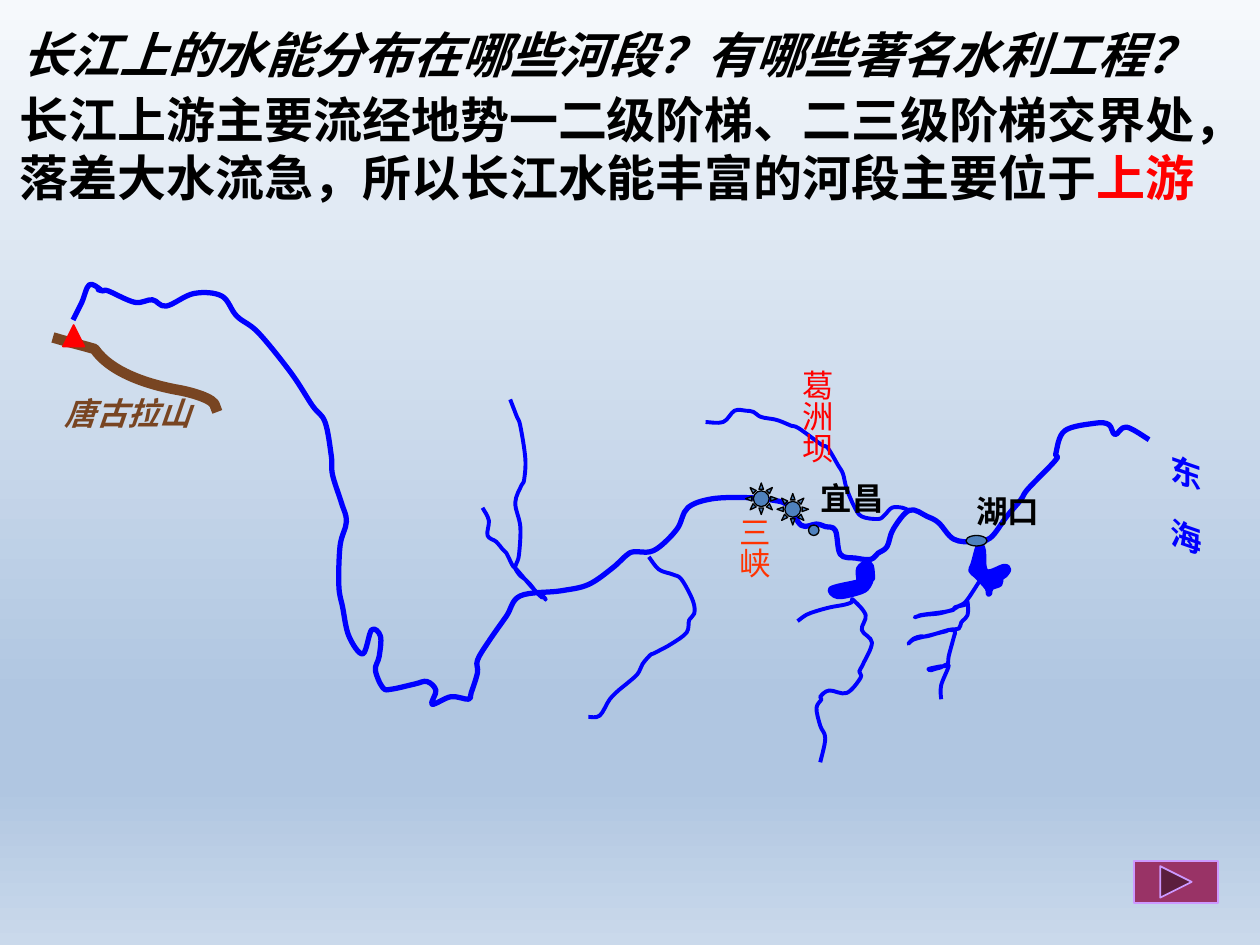
from copy import deepcopy

from lxml import etree
from pptx import Presentation
from pptx import util as u
from pptx.dml.color import RGBColor
from pptx.enum import shapes, text
from pptx.oxml.ns import qn

BLACK, RED, BLUE, BROWN, STEEL = "000000", "FF0000", "0000FF", "784522", "4F81BD"
GRID_W = 1000  # the map is drawn on a grid of 1000 by 750 units

RANGE_START = (46, 269)
RANGE_CURVES = [  # two control points and an end point each
    ((56, 272), (65, 274), (75, 277)),
    ((89, 297), (121, 306), (144, 310)),
    ((149, 311), (171, 316), (171, 323))]
MAIN_RIVER = [
    (58, 254), (65, 240), (71, 226), (80, 230), (78, 230), (82, 231), (86, 231), (107, 240),
    (121, 238), (132, 243), (154, 233), (176, 235), (188, 251), (205, 264), (231, 296),
    (248, 322), (258, 335), (263, 362), (264, 377), (271, 399), (275, 414), (270, 433),
    (269, 465), (272, 482), (277, 505), (288, 519), (295, 500), (302, 505), (301, 521),
    (298, 532), (304, 546), (311, 547), (329, 543), (339, 541), (346, 548), (343, 559),
    (358, 553), (372, 555), (374, 550), (379, 534), (379, 524), (388, 509), (402, 489),
    (413, 473), (445, 469), (467, 464), (486, 451), (497, 441), (503, 438), (516, 438),
    (526, 432), (538, 419), (546, 403), (565, 396), (592, 395), (613, 397), (625, 401),
    (636, 417), (648, 416), (655, 418), (663, 421), (667, 440), (679, 443), (691, 444),
    (697, 439), (704, 434), (709, 420), (722, 405), (736, 410), (745, 415), (757, 428),
    (773, 430), (786, 427), (799, 410), (810, 397), (816, 388), (838, 365), (838, 360),
    (845, 342), (869, 336), (880, 337), (885, 345), (894, 339), (912, 349)]
MIN_RIVER = [
    (405, 317), (410, 330), (413, 338), (417, 364), (416, 381), (414, 385), (409, 399),
    (413, 418), (412, 440), (410, 447), (409, 451), (413, 457), (417, 460), (421, 464),
    (425, 469), (430, 474), (432, 474), (433, 476), (432, 474), (424, 468), (411, 453),
    (407, 449), (402, 439), (399, 436), (394, 430), (387, 425), (388, 413), (383, 403)]
WU_RIVER = [
    (515, 442), (523, 452), (534, 456), (541, 460), (550, 477), (551, 487), (547, 492),
    (545, 502), (533, 511), (522, 517), (518, 519), (516, 520), (510, 527), (506, 535),
    (497, 543), (492, 547), (484, 555), (476, 568), (467, 569)]
HAN_RIVER = [
    (721, 405), (716, 403), (708, 403), (702, 409), (697, 412), (684, 410), (678, 402),
    (672, 388), (669, 376), (665, 369), (658, 357), (655, 354), (652, 353), (634, 340),
    (628, 338), (621, 335), (615, 333), (604, 331), (598, 327), (592, 326), (583, 326),
    (574, 335), (560, 335)]
DONGTING_LAKE = [
    (688, 445), (681, 451), (681, 461), (678, 462), (659, 467), (665, 474), (684, 470),
    (690, 465), (692, 460), (693, 459), (692, 449), (688, 445)]
XIANG_RIVER = [
    (633, 493), (640, 488), (648, 485), (659, 482), (670, 480), (676, 478), (677, 476),
    (687, 488), (684, 500), (692, 510), (685, 527), (682, 533), (683, 538), (672, 550),
    (658, 548), (651, 553), (652, 555), (648, 562), (651, 576), (655, 586), (651, 605)]
POYANG_LAKE = [
    (780, 430), (776, 433), (772, 447), (770, 453), (775, 458), (783, 467), (784, 472),
    (786, 471), (787, 467), (794, 464), (795, 459), (798, 457), (801, 452), (797, 449),
    (783, 453), (781, 437), (779, 432), (778, 431), (780, 430)]
GAN_RIVER = [
    (777, 462), (767, 477), (761, 481), (753, 485), (732, 488), (729, 489), (726, 490),
    (729, 489), (734, 488), (745, 487), (753, 485), (757, 484), (758, 482), (766, 480),
    (768, 478), (768, 488), (763, 494), (761, 499), (753, 500), (736, 505), (731, 505),
    (725, 507), (721, 511), (723, 509), (727, 507), (739, 504), (747, 502), (751, 501),
    (753, 500), (758, 501), (757, 506), (753, 521), (752, 528), (746, 529), (737, 531),
    (739, 532), (742, 531), (746, 530), (753, 528), (747, 544), (747, 555)]


def rgb(hex_color):
    return RGBColor.from_string(hex_color)


def smooth(points):
    """Return Bezier segments (two controls and an end) that pass through the points."""
    ends = [points[0], *points, points[-1]]
    return [((b[0] + (c[0] - a[0]) / 6, b[1] + (c[1] - a[1]) / 6),
             (c[0] - (d[0] - b[0]) / 6, c[1] - (d[1] - b[1]) / 6), c)
            for a, b, c, d in zip(ends, ends[1:], ends[2:], ends[3:])]


def paint(sp, fill, line, width):
    sp.shadow.inherit = False
    if fill:
        sp.fill.solid()
        sp.fill.fore_color.rgb = rgb(fill)
    else:
        sp.fill.background()
    sp.line.color.rgb = rgb(line)
    sp.line.width = u.Pt(width)


def add_curve(s, box, start, curves, color, width):
    """Draw Bezier segments; a curve that ends at its start is filled."""
    left, top, box_w = box
    unit = box_w / GRID_W

    def scaled(point):
        return round(left + point[0] * unit), round(top + point[1] * unit)

    closed = curves[-1][-1] == start
    builder = s.shapes.build_freeform(*scaled(start), scale=1.0)
    builder.add_line_segments([scaled(curve[-1]) for curve in curves], close=closed)
    sp = builder.convert_to_shape()
    for segment, curve in zip(list(sp._element.iter(qn("a:lnTo"))), curves):
        bezier = etree.Element(qn("a:cubicBezTo"))
        for x, y in map(scaled, curve):
            etree.SubElement(bezier, qn("a:pt"), x=str(x - sp.left), y=str(y - sp.top))
        segment.getparent().replace(segment, bezier)
    paint(sp, color if closed else None, color, width)
    return sp


def add_shape(s, kind, box, fill, line, width):
    paint(s.shapes.add_shape(kind, *box), fill, line, width)


def add_text(s, box, runs, size, bold=False, italic=False, vertical=False, wrap=True):
    """Add one paragraph; runs are (text, colour) pairs."""
    tf = s.shapes.add_textbox(*box).text_frame
    tf.word_wrap = wrap
    tf.auto_size = text.MSO_AUTO_SIZE.SHAPE_TO_FIT_TEXT
    if vertical:
        tf._txBody.bodyPr.set("vert", "eaVert")
    p = tf.paragraphs[0]
    p.font.name, p.font.size = "Calibri", u.Pt(size)
    p.font.bold, p.font.italic = bold, italic
    for words, color in runs:
        r = p.add_run()
        r.text = words
        r.font.color.rgb = rgb(color)
    return p


def add_background(s):
    fill = s.background.fill
    fill.gradient()
    fill.gradient_angle = 270
    stops = s._element.find(".//" + qn("a:gsLst"))
    for stop in list(stops)[:2]:
        stops.append(deepcopy(stop))
    for stop, (position, color) in zip(fill.gradient_stops, (
            (0, "F6F9FC"), (0.74, "B0C6E1"), (0.83, "B0C6E1"), (1, "CAD9EB"))):
        stop.position = position
        stop.color.rgb = rgb(color)


def add_headings(s, left, top, width):
    add_text(s, (left, top + u.Cm(1.31), width, u.Cm(2.64)),
             [("长江上游主要流经地势一二级阶梯、二三级阶梯交界处，"
               "落差大水流急，所以长江水能丰富的河段主要位于", BLACK), ("上游", RED)],
             28, bold=True)
    add_text(s, (left + u.Cm(0.03), top, u.Cm(24), u.Cm(1.45)),
             [("长江上的水能分布在哪些河段？有哪些著名水利工程？", BLACK)],
             28, bold=True, italic=True)


def add_river_map(s, left, top, width):
    box = (left, top, width)
    unit = width / GRID_W

    def place(x, y, w, h):
        return round(left + x * unit), round(top + y * unit), round(w * unit), round(h * unit)

    def label(words, color, x, y, w, h, **style):
        return add_text(s, place(x, y, w, h), [(part, color) for part in words], 18, **style)

    kinds = shapes.MSO_SHAPE
    mountains = add_curve(s, box, RANGE_START, RANGE_CURVES, BROWN, 6)
    mountains.line._ln.set("cap", "sq")
    add_shape(s, kinds.ISOSCELES_TRIANGLE, place(50, 258, 17, 17), RED, RED, 1)
    label(["唐古拉山"], BROWN, 41.5, 308, 158, 50, bold=True, italic=True)

    add_curve(s, box, MAIN_RIVER[0], smooth(MAIN_RIVER), BLUE, 3)
    for water in (MIN_RIVER, WU_RIVER, HAN_RIVER, DONGTING_LAKE,
                  XIANG_RIVER, POYANG_LAKE, GAN_RIVER):
        add_curve(s, box, water[0], smooth(water), BLUE, 2.25)

    sea = label(["东", "海"], BLUE, 908, 349, 60, 113, bold=True, italic=True, vertical=True)
    sea.runs[0].font._element.set("spc", "1850")  # letter spacing, 1/100 pt

    add_shape(s, shapes.MSO_SHAPE.ACTION_BUTTON_FORWARD_OR_NEXT,
              place(900, 683.3, 66.7, 33.3), "993366", "CC99FF", 1)
    for spot in ((641.7, 416.7, 8.3, 8.3), (766.7, 425, 16.7, 8.3)):
        add_shape(s, kinds.OVAL, place(*spot), STEEL, BLACK, 0.75)
    label(["湖口"], BLACK, 765, 386, 86, 50, bold=True, wrap=False)
    label(["宜昌"], BLACK, 641.5, 375, 92, 50, bold=True)
    for x, y in ((616.7, 391.7), (591.7, 383.3)):
        add_shape(s, kinds.SUN, place(x, y, 25, 25), STEEL, BLACK, 0.75)
    label(["葛洲坝"], RED, 608.5, 283.5, 60, 113, vertical=True)
    label(["三峡"], "FF3300", 558.5, 400, 60, 77, vertical=True)


def main():
    prs = Presentation()
    prs.slide_width, prs.slide_height = u.Cm(25.4), u.Cm(19.05)
    s = prs.slides.add_slide(prs.slide_layouts[6])
    add_background(s)
    add_river_map(s, 0, 0, prs.slide_width)
    add_headings(s, u.Cm(0.15), u.Cm(0.36), u.Cm(25.1))
    prs.save("out.pptx")


if __name__ == "__main__":
    main()
